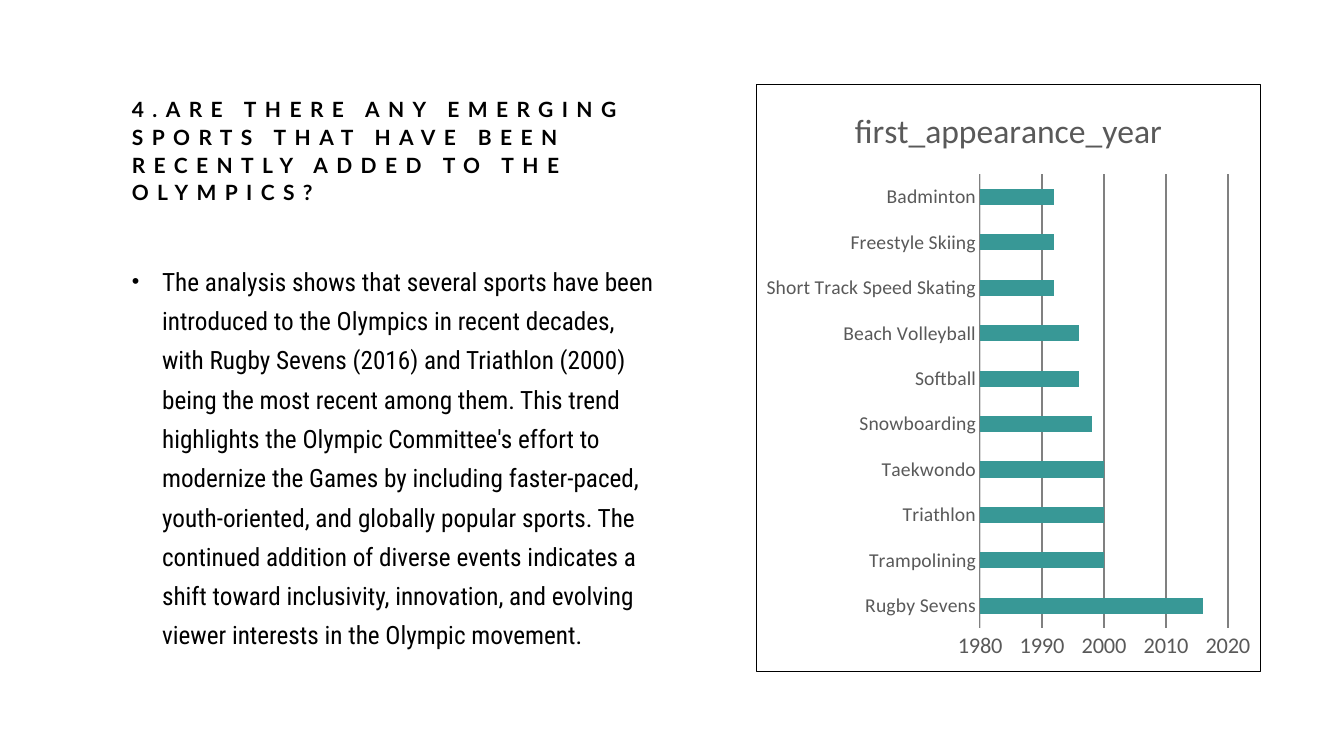
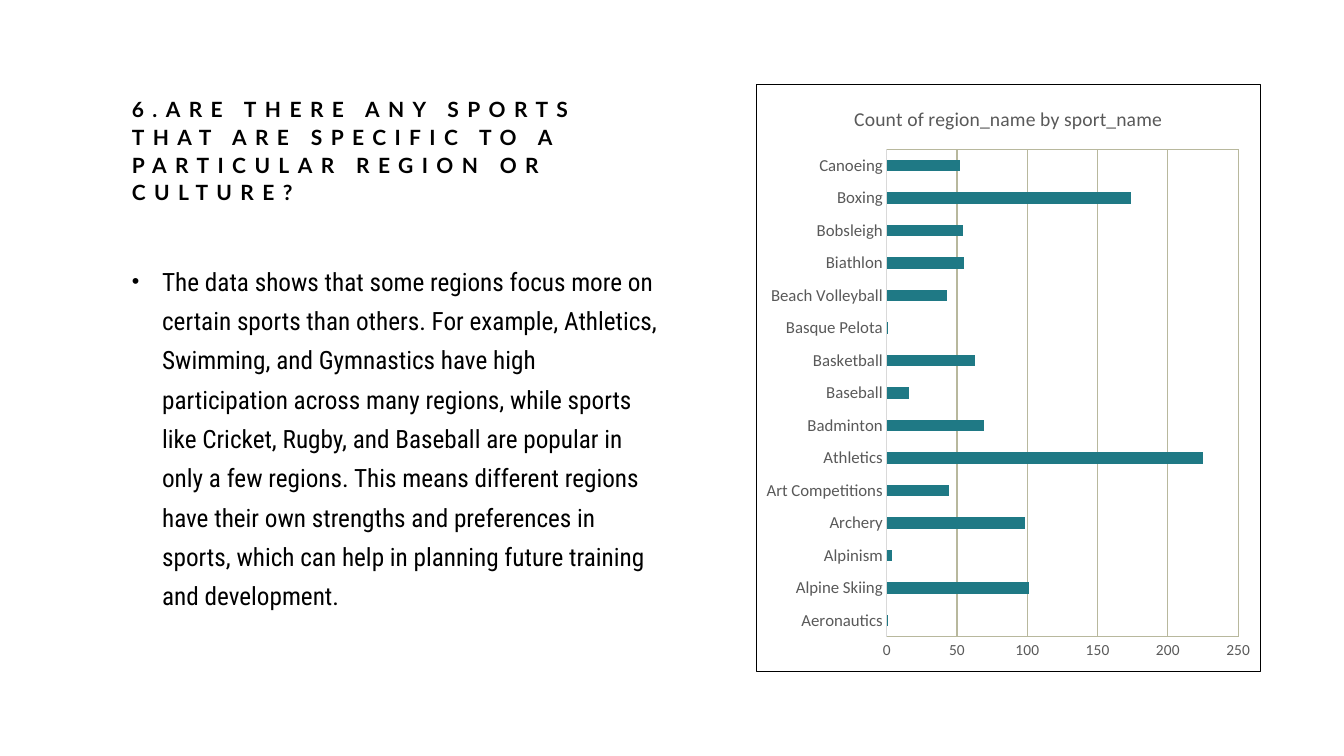
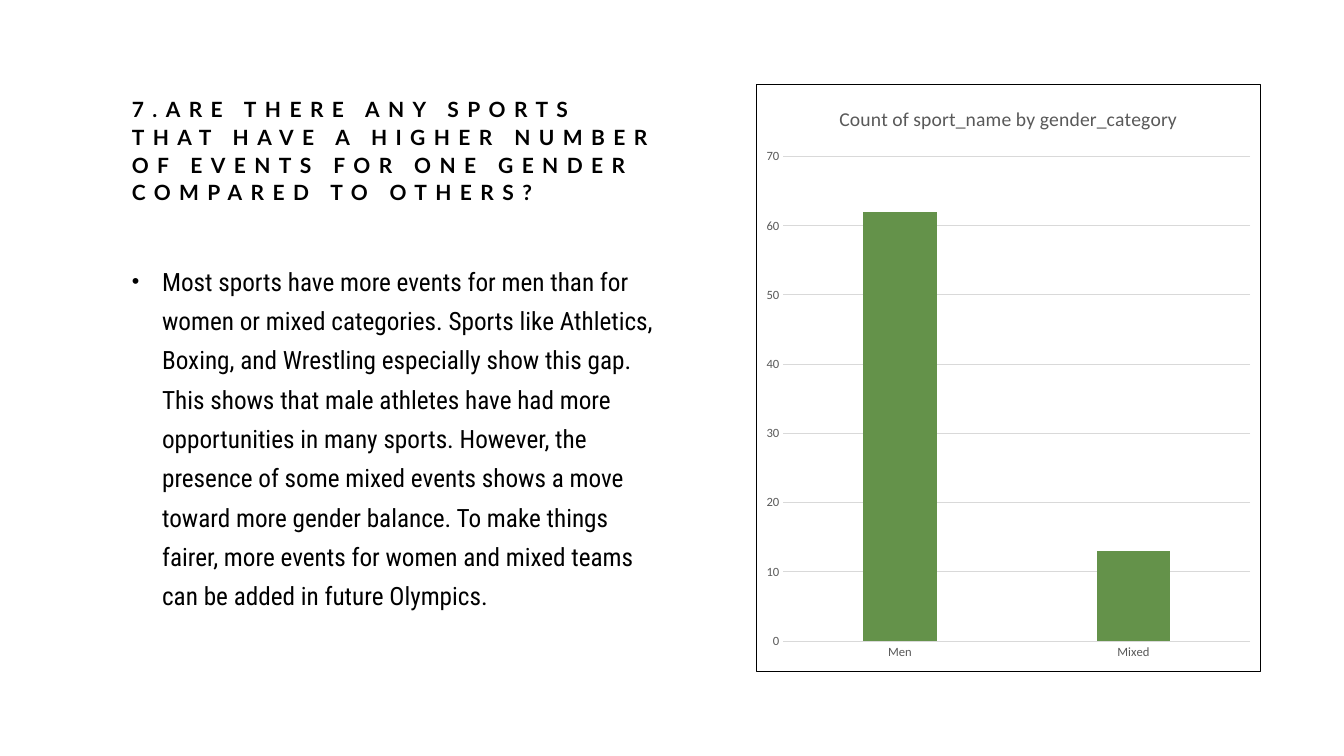
from dataclasses import dataclass

from lxml import etree
from pptx import Presentation
from pptx.chart.data import CategoryChartData
from pptx.dml.color import RGBColor
from pptx.enum.chart import XL_CHART_TYPE, XL_TICK_MARK
from pptx.enum.text import MSO_ANCHOR, MSO_AUTO_SIZE, PP_ALIGN
from pptx.oxml import parse_xml
from pptx.oxml.ns import nsdecls, qn
from pptx.util import Inches, Pt

BAR = XL_CHART_TYPE.BAR_CLUSTERED
COLUMN = XL_CHART_TYPE.COLUMN_CLUSTERED
NO_TICK = XL_TICK_MARK.NONE
TOP, BOTTOM = MSO_ANCHOR.TOP, MSO_ANCHOR.BOTTOM
LEFT = PP_ALIGN.LEFT
NO_AUTOFIT = MSO_AUTO_SIZE.NONE

BLACK = RGBColor(0x00, 0x00, 0x00)
WHITE = RGBColor(0xFF, 0xFF, 0xFF)
TEXT_GREY = RGBColor(0x59, 0x59, 0x59)
GRID_GREY = RGBColor(0x80, 0x80, 0x80)
LIGHT_GREY = RGBColor(0xD9, 0xD9, 0xD9)
SAGE = RGBColor(0xB8, 0xB8, 0x9D)
TEAL = RGBColor(0x38, 0x98, 0x96)
DEEP_TEAL = RGBColor(0x1F, 0x79, 0x85)
GREEN = RGBColor(0x64, 0x92, 0x4A)

TITLE_FONT = "Lato"
BODY_FONT = "Roboto Condensed"
CHART_FONT = "Calibri"

SLIDE_WIDTH, SLIDE_HEIGHT = Inches(13.33), Inches(7.5)
COLUMNS, ROWS = 16, 9
TITLE_CELLS = (1.45, 1, 6.55, 1.5)
BODY_CELLS = (1.45, 3, 6.55, 5)
CHART_CELLS = (9, 1, 6.01, 7)
BULLET_INDENT = Inches(0.3)


@dataclass
class ChartSpec:
    kind: XL_CHART_TYPE
    title: str
    series_name: str
    values: dict
    color: RGBColor
    scale: tuple
    grid_color: RGBColor
    title_size: int = 14
    category_size: int = 9
    value_size: int = 9
    grid_width: float = 0.75
    gap: int = 182
    overlap: int = 0
    framed_plot: bool = False


@dataclass
class Topic:
    question: str
    answer: str
    chart: ChartSpec


TOPICS = [
    Topic(
        "4.ARE THERE ANY EMERGING SPORTS THAT HAVE BEEN RECENTLY ADDED "
        "TO THE OLYMPICS?",
        "The analysis shows that several sports have been introduced to the "
        "Olympics in recent decades, with Rugby Sevens (2016) and Triathlon "
        "(2000) being the most recent among them. This trend highlights the "
        "Olympic Committee's effort to modernize the Games by including "
        "faster-paced, youth-oriented, and globally popular sports. The "
        "continued addition of diverse events indicates a shift toward "
        "inclusivity, innovation, and evolving viewer interests in the "
        "Olympic movement.",
        ChartSpec(
            BAR, "first_appearance_year", "first_appearance_year",
            {"Rugby Sevens": 2016, "Trampolining": 2000, "Triathlon": 2000,
             "Taekwondo": 2000, "Snowboarding": 1998, "Softball": 1996,
             "Beach Volleyball": 1996, "Short Track Speed Skating": 1992,
             "Freestyle Skiing": 1992, "Badminton": 1992},
            TEAL, (1980, 2020, 10), GRID_GREY, title_size=24,
            category_size=14, value_size=16, grid_width=1),
    ),
    Topic(
        "6.ARE THERE ANY SPORTS THAT ARE SPECIFIC TO A PARTICULAR REGION "
        "OR CULTURE?",
        "The data shows that some regions focus more on certain sports than "
        "others. For example, Athletics, Swimming, and Gymnastics have high "
        "participation across many regions, while sports like Cricket, Rugby, "
        "and Baseball are popular in only a few regions. This means different "
        "regions have their own strengths and preferences in sports, which "
        "can help in planning future training and development.",
        ChartSpec(
            BAR, "Count of region_name by sport_name", "Series 1",
            {"Aeronautics": 1, "Alpine Skiing": 101, "Alpinism": 4,
             "Archery": 98, "Art Competitions": 44, "Athletics": 225,
             "Badminton": 69, "Baseball": 16, "Basketball": 63,
             "Basque Pelota": 1, "Beach Volleyball": 43, "Biathlon": 55,
             "Bobsleigh": 54, "Boxing": 174, "Canoeing": 52},
            DEEP_TEAL, (0, 250, 50), SAGE, category_size=12, value_size=11,
            framed_plot=True),
    ),
    Topic(
        "7.ARE THERE ANY SPORTS THAT HAVE A HIGHER NUMBER OF EVENTS FOR ONE "
        "GENDER COMPARED TO OTHERS?",
        "Most sports have more events for men than for women or mixed "
        "categories. Sports like Athletics, Boxing, and Wrestling especially "
        "show this gap. This shows that male athletes have had more "
        "opportunities in many sports. However, the presence of some mixed "
        "events shows a move toward more gender balance. To make things "
        "fairer, more events for women and mixed teams can be added in "
        "future Olympics.",
        ChartSpec(
            COLUMN, "Count of sport_name by gender_category", "Series 1",
            {"Men": 62, "Mixed": 13}, GREEN, (0, 70, 10), LIGHT_GREY,
            gap=219, overlap=-27),
    ),
]


def grid_box(left, top, width, height):
    column, row = SLIDE_WIDTH / COLUMNS, SLIDE_HEIGHT / ROWS
    return (round(left * column), round(top * row),
            round(width * column), round(height * row))


def style_font(font, name, size, color, bold=False):
    font.name = name
    font.size = Pt(size)
    font.color.rgb = color
    font.bold = bold


def fill_placeholder(box, cells, text, anchor, line_spacing):
    box.left, box.top, box.width, box.height = grid_box(*cells)
    frame = box.text_frame
    frame.text = text
    frame.word_wrap = True
    frame.auto_size = NO_AUTOFIT
    frame.vertical_anchor = anchor
    para = frame.paragraphs[0]
    para.alignment = LEFT
    para.line_spacing = line_spacing
    para.space_before = Pt(0)
    return para


def add_question(slide, text):
    para = fill_placeholder(slide.shapes.title, TITLE_CELLS, text, BOTTOM, 1.1)
    span = para.runs[0]
    style_font(span.font, TITLE_FONT, 15, BLACK, bold=True)
    span.font._element.set("spc", "600")


def add_answer(slide, text):
    para = fill_placeholder(slide.placeholders[1], BODY_CELLS, text, TOP, 1.3)
    para.space_before = Pt(10)
    style_font(para.runs[0].font, BODY_FONT, 18, BLACK)
    properties = para._p.get_or_add_pPr()
    properties.set("marL", str(BULLET_INDENT))
    properties.set("indent", str(-BULLET_INDENT))
    etree.SubElement(properties, qn("a:buSzPct"), val="85000")
    etree.SubElement(properties, qn("a:buFont"), typeface="Arial")
    etree.SubElement(properties, qn("a:buChar"), char="•")


def frame_properties(fill, line):
    return parse_xml(
        f'<c:spPr {nsdecls("c", "a")}>{fill}<a:ln w="{Pt(0.75)}"><a:solidFill>'
        f'<a:srgbClr val="{line}"/></a:solidFill></a:ln></c:spPr>')


def frame_chart(chart, spec):
    chart_part = chart._chartSpace.find(qn("c:chart"))
    solid = f'<a:solidFill><a:srgbClr val="{WHITE}"/></a:solidFill>'
    chart_part.addnext(frame_properties(solid, BLACK))
    if spec.framed_plot:
        plot_area = chart_part.find(qn("c:plotArea"))
        plot_area.append(frame_properties("<a:noFill/>", spec.grid_color))


def style_axis(axis, size):
    axis.major_tick_mark = NO_TICK
    axis.minor_tick_mark = NO_TICK
    style_font(axis.tick_labels.font, CHART_FONT, size, TEXT_GREY)


def style_category_axis(axis, spec):
    style_axis(axis, spec.category_size)
    axis.format.line.color.rgb = LIGHT_GREY
    axis.format.line.width = Pt(0.75)


def style_value_axis(axis, spec):
    style_axis(axis, spec.value_size)
    axis.minimum_scale, axis.maximum_scale, axis.major_unit = spec.scale
    axis.format.line.fill.background()
    axis.has_major_gridlines = True
    grid_line = axis.major_gridlines.format.line
    grid_line.color.rgb = spec.grid_color
    grid_line.width = Pt(spec.grid_width)


def style_bars(plot, spec):
    plot.vary_by_categories = False
    plot.gap_width = spec.gap
    plot.overlap = spec.overlap
    bar_fill = plot.series[0].format.fill
    bar_fill.solid()
    bar_fill.fore_color.rgb = spec.color


def add_bar_chart(slide, spec):
    data = CategoryChartData()
    data.categories = list(spec.values)
    data.add_series(spec.series_name, list(spec.values.values()))
    chart = slide.shapes.add_chart(
        spec.kind, *grid_box(*CHART_CELLS), data).chart
    style_font(chart.font, CHART_FONT, 10, BLACK)
    chart.has_legend = False
    chart.has_title = True
    title_frame = chart.chart_title.text_frame
    title_frame.text = spec.title
    style_font(title_frame.paragraphs[0].runs[0].font, CHART_FONT,
               spec.title_size, TEXT_GREY)
    style_category_axis(chart.category_axis, spec)
    style_value_axis(chart.value_axis, spec)
    style_bars(chart.plots[0], spec)
    frame_chart(chart, spec)


def main():
    deck = Presentation()
    deck.slide_width, deck.slide_height = SLIDE_WIDTH, SLIDE_HEIGHT
    layout = deck.slide_layouts[1]
    for topic in TOPICS:
        slide = deck.slides.add_slide(layout)
        add_question(slide, topic.question)
        add_answer(slide, topic.answer)
        add_bar_chart(slide, topic.chart)
    deck.save("out.pptx")


if __name__ == "__main__":
    main()
